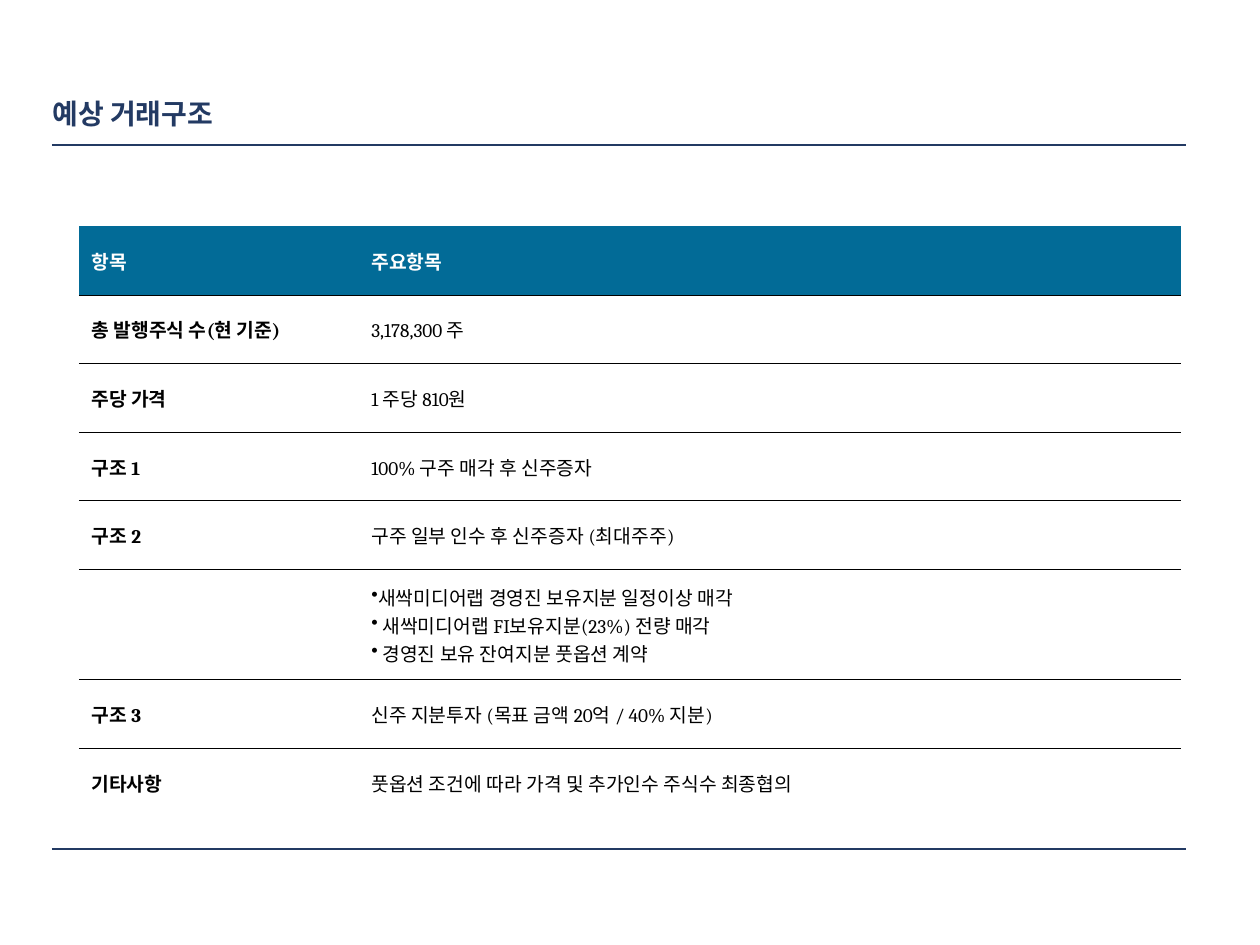
import pptx
import pptx.util
import pptx.dml.color
import pptx.enum.shapes
import pptx.enum.text
import pptx.oxml.ns
import lxml.etree

Pt = pptx.util.Pt
RGBColor = pptx.dml.color.RGBColor
qn = pptx.oxml.ns.qn

NAVY = RGBColor(0x23, 0x3A, 0x63)
TEAL = RGBColor(0x02, 0x6B, 0x97)
WHITE = RGBColor(0xFF, 0xFF, 0xFF)
BLACK = RGBColor(0, 0, 0)
FACE = "Cambria"

ROWS = [
    ("항목", "주요항목"),
    ("총 발행주식 수(현 기준)", "3,178,300 주"),
    ("주당 가격", "1 주당 810원"),
    ("구조 1", "100% 구주 매각 후 신주증자"),
    ("구조 2", "구주 일부 인수 후 신주증자 (최대주주)"),
    ("", "새싹미디어랩 경영진 보유지분 일정이상 매각\n"
         " 새싹미디어랩 FI보유지분(23%) 전량 매각\n"
         " 경영진 보유 잔여지분 풋옵션 계약"),
    ("구조 3", "신주 지분투자 (목표 금액 20억 / 40% 지분)"),
    ("기타사항", "풋옵션 조건에 따라 가격 및 추가인수 주식수 최종협의"),
]


def style(part, size, color, bold):
    """Set the font of every run in a paragraph."""
    for run in part.runs:
        font = run.font
        font.name, font.size, font.bold = FACE, Pt(size), bold
        font.color.rgb = color


def add_rule(slide, left, top, width):
    """Draw one level rule across the page."""
    rule = slide.shapes.add_connector(
        pptx.enum.shapes.MSO_CONNECTOR.STRAIGHT,
        Pt(left), Pt(top), Pt(left + width), Pt(top))
    rule.line.color.rgb = NAVY
    rule.line.width = Pt(1)
    props = rule._element.spPr
    lxml.etree.SubElement(props, qn("a:effectLst"))


def add_title(slide, left, top, width, height):
    """Place and format the slide title."""
    title = slide.shapes.title
    title.left, title.top = Pt(left), Pt(top)
    title.width, title.height = Pt(width), Pt(height)
    frame = title.text_frame
    frame.text = "예상 거래구조"
    frame.margin_left = frame.margin_right = 0
    frame.margin_top = frame.margin_bottom = 0
    frame.vertical_anchor = pptx.enum.text.MSO_ANCHOR.TOP
    frame.auto_size = pptx.enum.text.MSO_AUTO_SIZE.NONE
    part = frame.paragraphs[0]
    part.alignment = pptx.enum.text.PP_ALIGN.LEFT
    part.space_before = 0
    style(part, 16, NAVY, True)


def edge(cell, lined):
    """Give a cell black edges on the lined sides and none elsewhere."""
    props = cell._tc.get_or_add_tcPr()
    for side in ("lnL", "lnR", "lnT", "lnB"):
        line = lxml.etree.SubElement(props, qn("a:" + side))
        if side in lined:
            line.set("w", str(Pt(0.5)))
            fill = lxml.etree.SubElement(line, qn("a:solidFill"))
            lxml.etree.SubElement(fill, qn("a:srgbClr")).set("val", str(BLACK))
        else:
            line.set("w", "0")
            lxml.etree.SubElement(line, qn("a:noFill"))


def fill_cell(cell, text, head, bold):
    """Write and format one table cell, with bullets for many lines."""
    cell.vertical_anchor = pptx.enum.text.MSO_ANCHOR.MIDDLE
    if head:
        cell.fill.solid()
        cell.fill.fore_color.rgb = TEAL
    else:
        cell.fill.background()
    cell.text_frame.text = text
    for part in cell.text_frame.paragraphs:
        if "\n" in text:
            props = part._p.get_or_add_pPr()
            lxml.etree.SubElement(props, qn("a:buChar")).set("char", "•")
        style(part, 11, WHITE if head else BLACK, bold)


def add_terms(slide, left, top, width, height):
    """Build the table of deal terms."""
    tall = 62.9
    short = (height - tall) / (len(ROWS) - 1)
    table = slide.shapes.add_table(
        len(ROWS), 2, Pt(left), Pt(top), Pt(width), Pt(height)).table
    table.first_row = table.horz_banding = False
    table.columns[0].width = Pt(160)
    table.columns[1].width = Pt(width - 160)
    last = len(ROWS) - 1
    for i, texts in enumerate(ROWS):
        table.rows[i].height = Pt(tall if "\n" in texts[1] else short)
        lined = [side for side, on in (("lnT", i > 0), ("lnB", i < last)) if on]
        for j, text in enumerate(texts):
            cell = table.cell(i, j)
            edge(cell, lined)
            fill_cell(cell, text, i == 0, i == 0 or j == 0)


def main():
    """Build the slide and save it."""
    deck = pptx.Presentation()
    deck.slide_width, deck.slide_height = Pt(720), Pt(540)
    slide = deck.slides.add_slide(deck.slide_layouts[5])
    for top in (82.8, 485.3):
        add_rule(slide, 29.7, top, 648)
    add_title(slide, 30, 55.4, 145, 34)
    add_terms(slide, 45, 129.3, 630, 337.6)
    deck.save("out.pptx")


if __name__ == "__main__":
    main()
